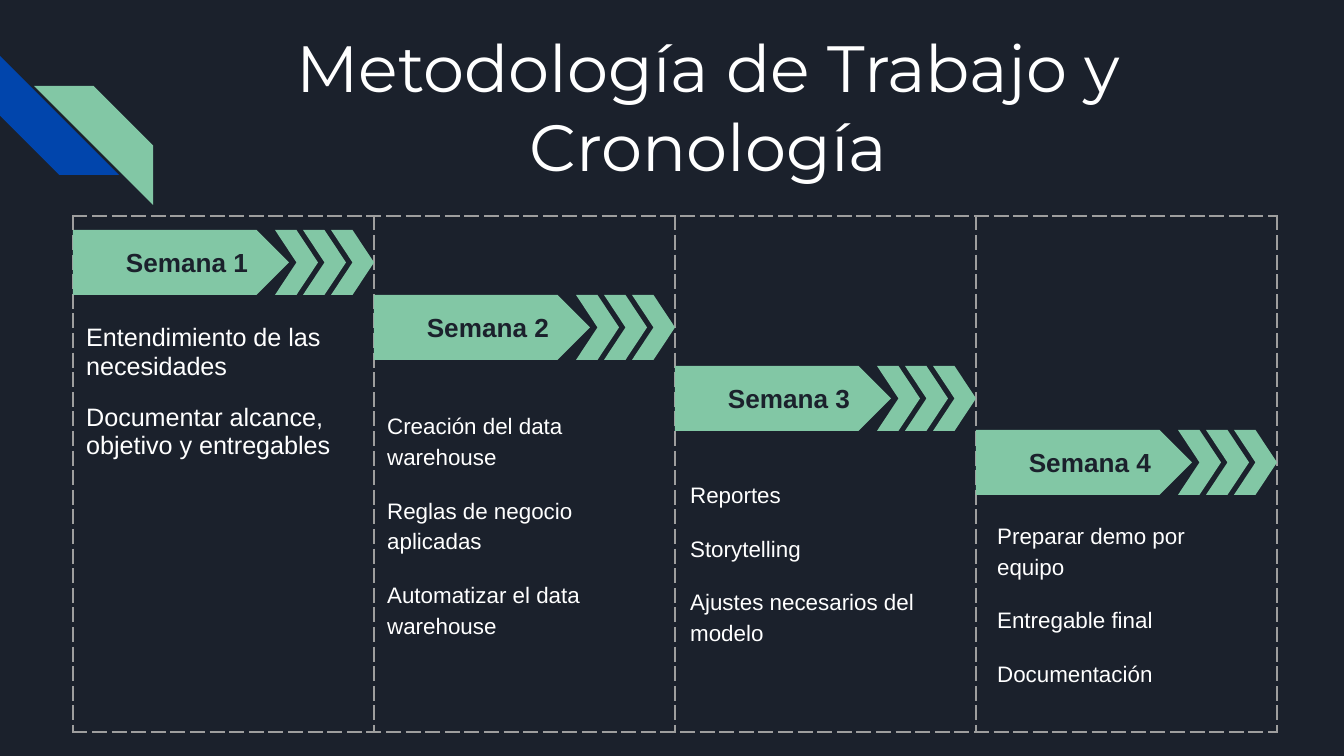
from lxml import etree
from pptx import Presentation
from pptx.dml.color import RGBColor
from pptx.enum import shapes, text
from pptx.oxml.ns import qn
from pptx.util import Emu, Pt

NAVY = RGBColor(0x1B, 0x21, 0x2C)
BLUE = RGBColor(0x01, 0x45, 0xAC)
GREEN = RGBColor(0x82, 0xC7, 0xA5)
GREY = RGBColor(0x9E, 0x9E, 0x9E)
WHITE = RGBColor(0xFF, 0xFF, 0xFF)

PX_PER_INCH = 134.4
LEFT, COL_W = 73, 301
TABLE_TOP, TABLE_H = 216, 516
BANNER_H, PLATE_W = 65, 216
CHEVRON_X, CHEVRON_W, CHEVRON_STEP = 202, 43, 28

SMALL = dict(size=12, line=1.15, before=12, grow=True)

# banner top, box of the task list, tasks, format
WEEKS = [
    (230, (73, 310, 301, 216),
     ["Entendimiento de las necesidades",
      "Documentar alcance, objetivo y entregables"],
     dict(size=13.5, line=0.95, before=12)),
    (295, (374, 395, 298, 255),
     ["Creación del data warehouse", "Reglas de negocio aplicadas",
      "Automatizar el data warehouse"],
     dict(SMALL, after_last=12)),
    (366, (677, 464, 298, 194),
     ["Reportes", "Storytelling", "Ajustes necesarios del modelo"],
     dict(SMALL, after_last=12)),
    (430, (984, 505, 285, 238),
     ["Preparar demo por equipo", "Entregable final", "Documentación"],
     SMALL),
]


def px(n):
    return Emu(round(n * 914400 / PX_PER_INCH))


def write(tf, lines, size=12, font="Arial", color=WHITE, bold=False,
          align=text.PP_ALIGN.LEFT, line=1.0, before=0, after_last=0, grow=False):
    tf.word_wrap = True
    tf.auto_size = (text.MSO_AUTO_SIZE.SHAPE_TO_FIT_TEXT if grow
                    else text.MSO_AUTO_SIZE.NONE)
    tf.vertical_anchor = text.MSO_ANCHOR.TOP
    tf.margin_left = tf.margin_right = tf.margin_top = tf.margin_bottom = Pt(7.2)
    for i, words in enumerate(lines):
        p = tf.add_paragraph() if i else tf.paragraphs[0]
        p.alignment, p.line_spacing = align, line
        p.space_before, p.space_after = Pt(before), Pt(0)
        r = p.add_run()
        r.text = words
        r.font.name, r.font.size, r.font.bold = font, Pt(size), bold
        r.font.color.rgb = color
    p.space_after = Pt(after_last)


def dash_borders(cell, color, width):
    tc_pr = cell._tc.get_or_add_tcPr()
    for i, side in enumerate(("lnL", "lnR", "lnT", "lnB")):
        ln = etree.Element(qn(f"a:{side}"), w=str(Pt(width)))
        fill = etree.SubElement(ln, qn("a:solidFill"))
        etree.SubElement(fill, qn("a:srgbClr"), val=str(color))
        etree.SubElement(ln, qn("a:prstDash"), val="dash")
        tc_pr.insert(i, ln)


class Deck:
    def __init__(self):
        self.prs = Presentation()
        self.prs.slide_width, self.prs.slide_height = px(1344), px(756)
        self.s = self.prs.slides.add_slide(self.prs.slide_layouts[6])
        self.s.background.fill.solid()
        self.s.background.fill.fore_color.rgb = NAVY

    def shape(self, kind, x, y, w, h, color, rotation=0, parent=None):
        sp = (parent or self.s).shapes.add_shape(kind, px(x), px(y), px(w), px(h))
        sp.shadow.inherit = False
        sp.fill.solid()
        sp.fill.fore_color.rgb = color
        sp.line.fill.background()
        sp.adjustments[0] = 0.5
        sp.rotation = rotation

    def text(self, x, y, w, h, lines, **fmt):
        sp = self.s.shapes.add_textbox(px(x), px(y), px(w), px(h))
        write(sp.text_frame, lines, **fmt)

    def table(self, x, y, col_w, h, cols):
        table = self.s.shapes.add_table(
            1, cols, px(x), px(y), px(col_w * cols), px(h)).table
        table.first_row = table.horz_banding = False
        for col in table.columns:
            col.width = px(col_w)
        for cell in table.iter_cells():
            cell.fill.background()
            dash_borders(cell, GREY, 0.75)

    def banner(self, x, y, label):
        """Draw a pentagon with three trailing chevrons and its label."""
        group = self.s.shapes.add_group_shape()
        kinds = shapes.MSO_SHAPE
        self.shape(kinds.PENTAGON, x, y, PLATE_W, BANNER_H, GREEN, parent=group)
        for i in range(3):
            self.shape(kinds.CHEVRON, x + CHEVRON_X + i * CHEVRON_STEP, y,
                       CHEVRON_W, BANNER_H, GREEN, parent=group)
        self.text(x, y + 3, 228, 59, [label], size=14, color=NAVY, bold=True,
                  align=text.PP_ALIGN.CENTER, grow=True)


def main():
    deck = Deck()
    stripe = shapes.MSO_SHAPE.DIAGONAL_STRIPE
    deck.shape(stripe, 0, 56, 119, 119, BLUE, rotation=270)
    deck.shape(stripe, 34, 86, 119, 119, GREEN, rotation=90)
    deck.table(LEFT, TABLE_TOP, COL_W, TABLE_H, len(WEEKS))
    deck.text(191, 14, 1035, 134, ["Metodología de Trabajo y Cronología"],
              size=35, font="Montserrat", align=text.PP_ALIGN.CENTER)
    for i, (top, box, tasks, fmt) in enumerate(WEEKS):
        deck.banner(LEFT + i * COL_W, top, f"Semana {i + 1}")
        deck.text(*box, tasks, **fmt)
    deck.prs.save("out.pptx")


if __name__ == "__main__":
    main()
